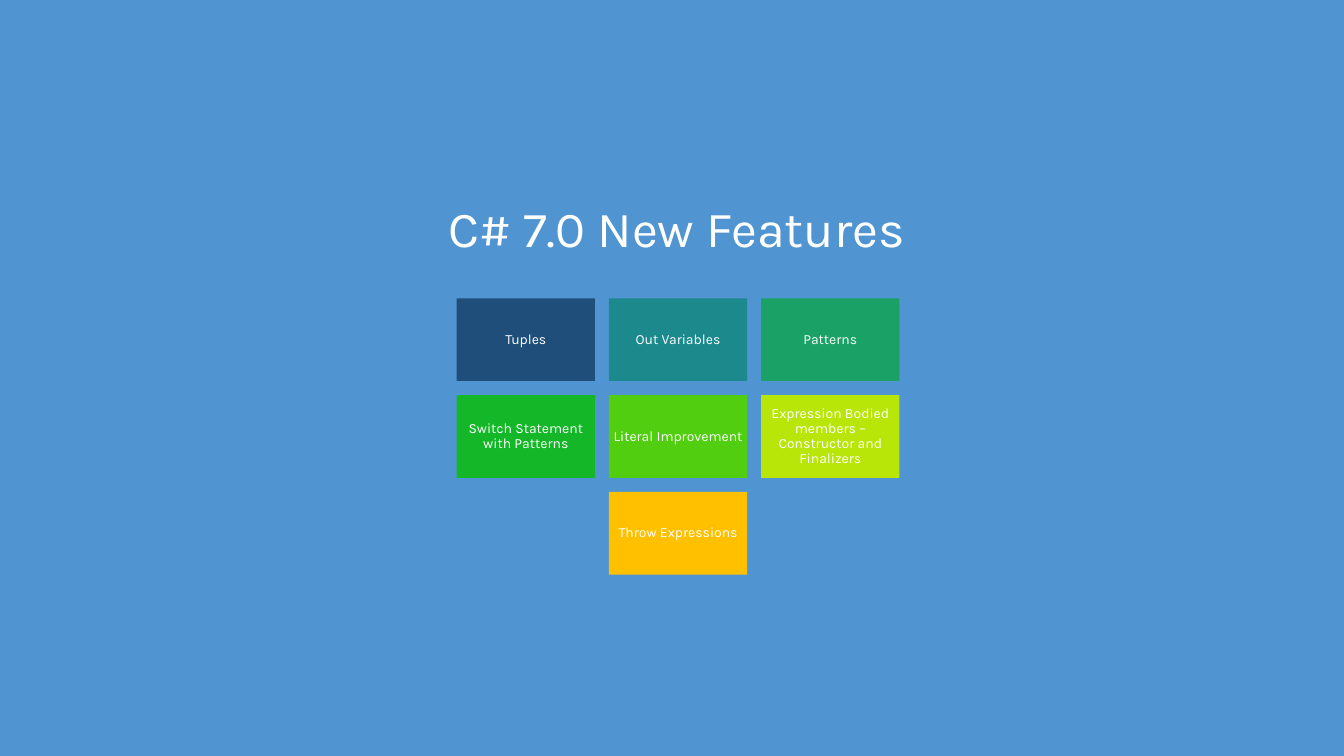
from pptx import Presentation
from pptx.dml.color import RGBColor
from pptx.enum.shapes import MSO_SHAPE
from pptx.enum.text import MSO_ANCHOR, PP_ALIGN
from pptx.util import Inches, Pt

FONT = "Karla"
WHITE = RGBColor(0xFF, 0xFF, 0xFF)
SKY = RGBColor(0x50, 0x95, 0xD1)
NAVY = RGBColor(0x1E, 0x4E, 0x79)
TEAL = RGBColor(0x1C, 0x8A, 0x8C)
JADE = RGBColor(0x19, 0xA1, 0x66)
GREEN = RGBColor(0x14, 0xB7, 0x27)
LIME = RGBColor(0x50, 0xCE, 0x0F)
YELLOW = RGBColor(0xB8, 0xE6, 0x08)
AMBER = RGBColor(0xFF, 0xC0, 0x00)

FEATURE_ROWS = [
    [("Tuples", NAVY), ("Out Variables", TEAL), ("Patterns", JADE)],
    [
        ("Switch Statement with Patterns", GREEN),
        ("Literal Improvement", LIME),
        ("Expression Bodied members – Constructor and Finalizers", YELLOW),
    ],
    [("Throw Expressions", AMBER)],
]
TILE_W, TILE_H = 1.37, 0.82
PITCH_X, PITCH_Y = 1.51, 0.96
MIDDLE_LEFT, GRID_TOP = 6.04, 2.96


def set_text(tf, text, size, anchor):
    tf.text = text
    tf.word_wrap = True
    tf.vertical_anchor = anchor
    p = tf.paragraphs[0]
    p.alignment = PP_ALIGN.CENTER
    p.line_spacing = 0.9
    font = p.runs[0].font
    font.name = FONT
    font.size = Pt(size)
    font.color.rgb = WHITE


def add_title(slide, text):
    sp = slide.shapes.title
    sp.left, sp.top = Inches(0.98), Inches(1.47)
    sp.width, sp.height = Inches(11.5), Inches(1.22)
    tf = sp.text_frame
    set_text(tf, text, 36, MSO_ANCHOR.BOTTOM)
    tf.margin_right = tf.margin_bottom = Inches(0.13)


def add_tile(slide, text, color, left, top):
    sp = slide.shapes.add_shape(
        MSO_SHAPE.RECTANGLE, Inches(left), Inches(top), Inches(TILE_W), Inches(TILE_H)
    )
    sp.shadow.inherit = False
    sp.fill.solid()
    sp.fill.fore_color.rgb = color
    sp.line.fill.background()
    tf = sp.text_frame
    tf.margin_left = tf.margin_right = Inches(0.04)
    tf.margin_top = tf.margin_bottom = Inches(0.04)
    set_text(tf, text, 10, MSO_ANCHOR.MIDDLE)


def add_tile_grid(slide, rows):
    for i, row in enumerate(rows):
        row_left = MIDDLE_LEFT - PITCH_X * (len(row) - 1) / 2
        for j, (text, color) in enumerate(row):
            add_tile(slide, text, color, row_left + j * PITCH_X, GRID_TOP + i * PITCH_Y)


def main():
    prs = Presentation()
    prs.slide_width, prs.slide_height = Inches(13.33), Inches(7.5)
    slide = prs.slides.add_slide(prs.slide_layouts[5])
    slide.background.fill.solid()
    slide.background.fill.fore_color.rgb = SKY
    add_title(slide, "C# 7.0 New Features")
    add_tile_grid(slide, FEATURE_ROWS)
    prs.save("out.pptx")


if __name__ == "__main__":
    main()
